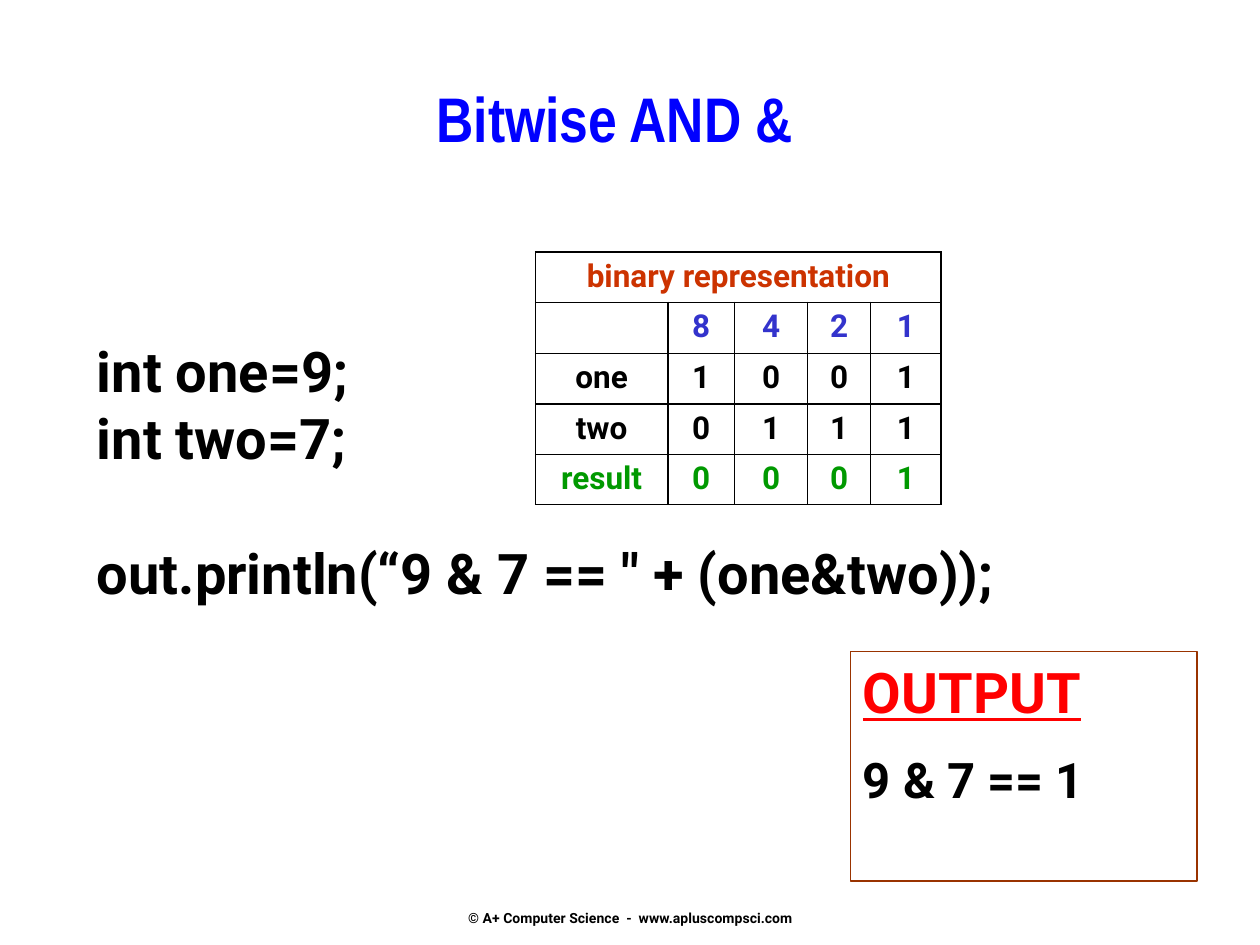
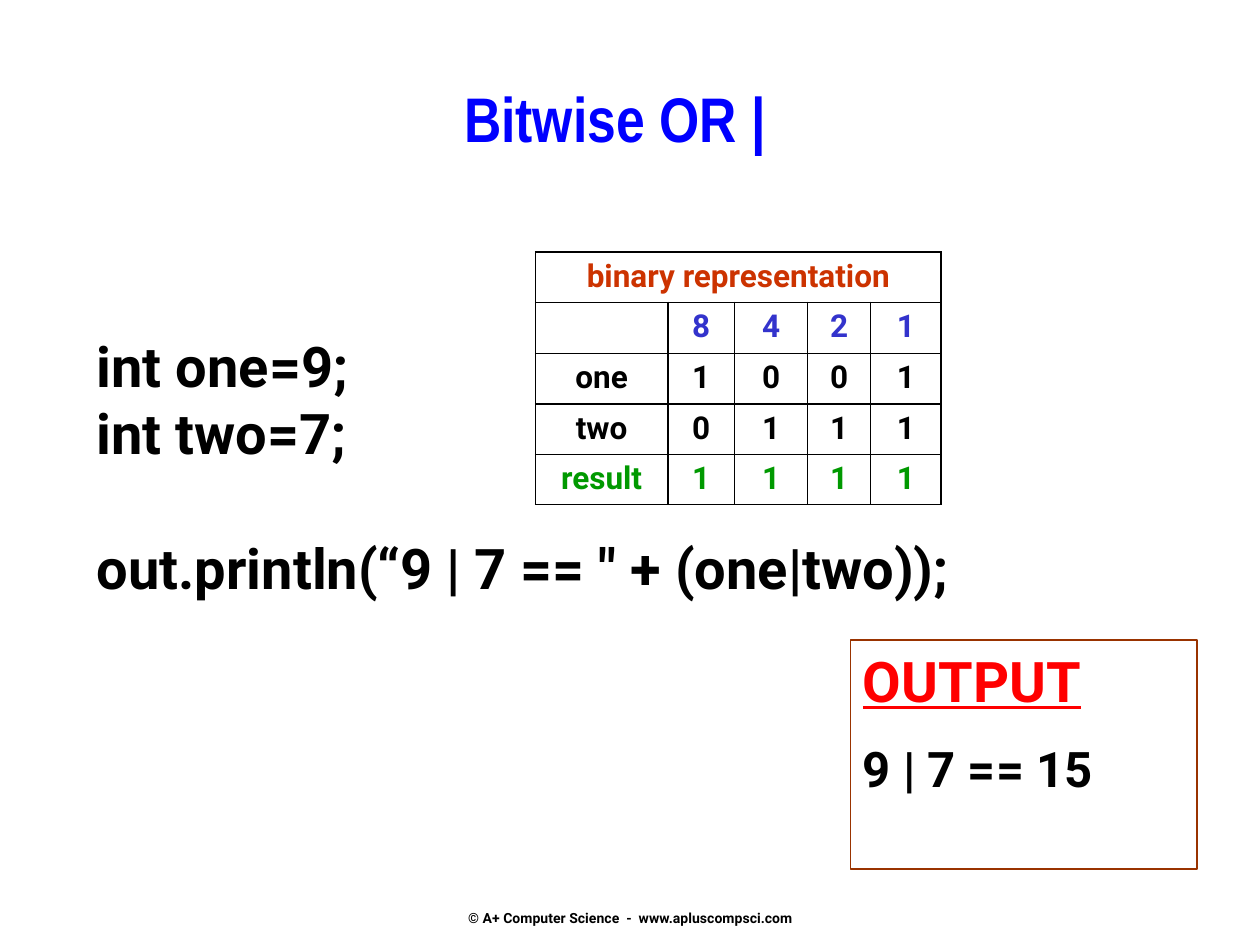
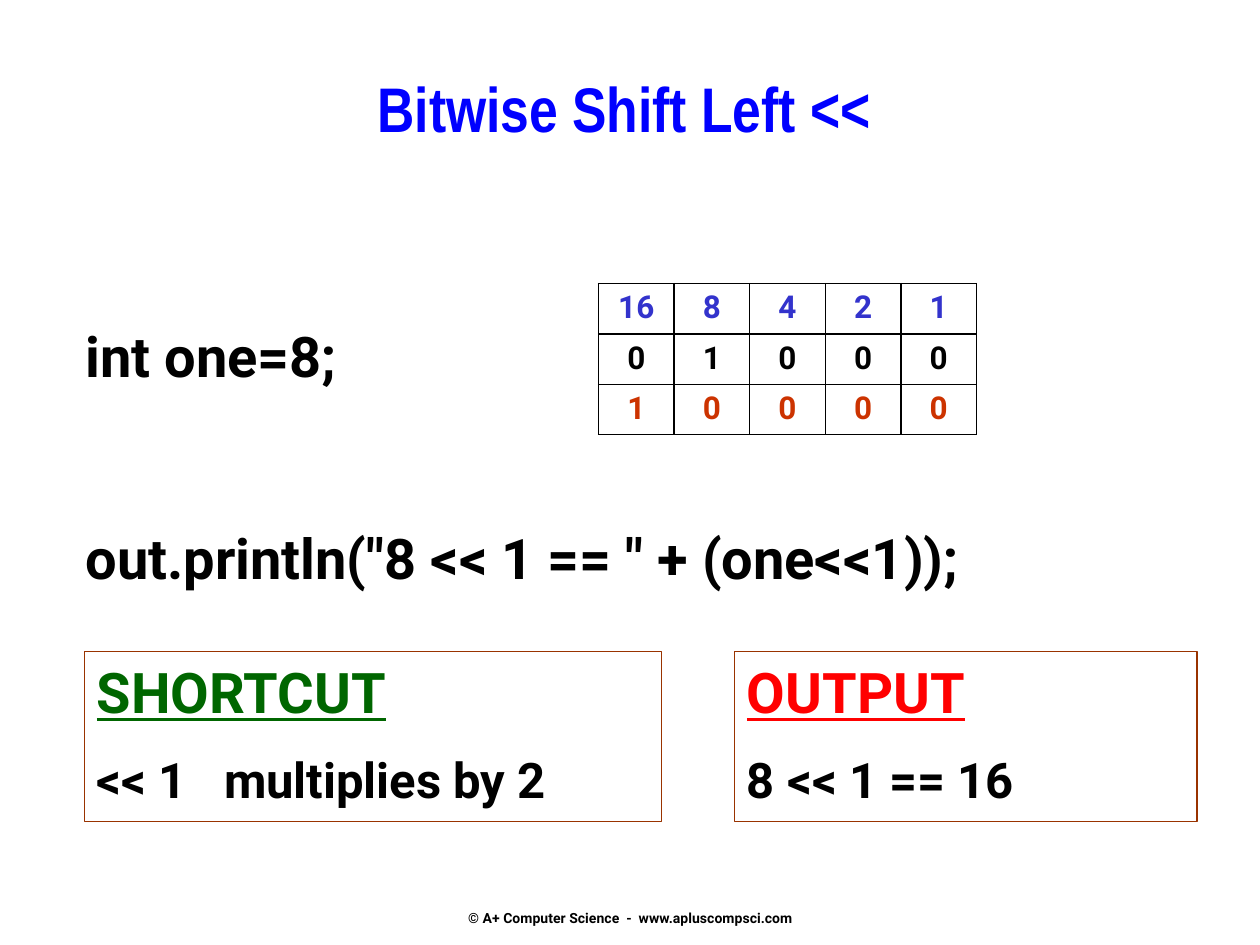
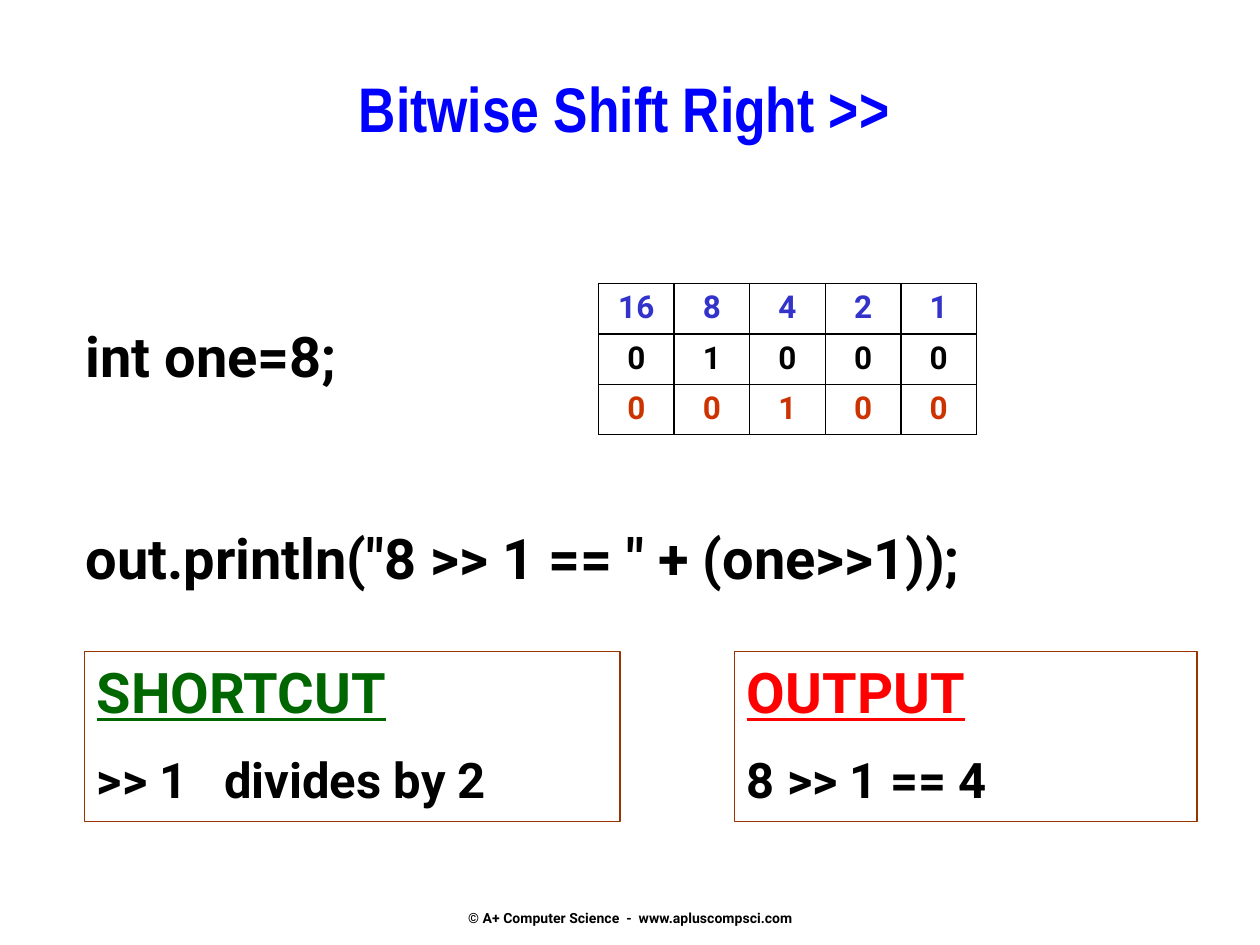
from lxml import etree
from pptx import Presentation
from pptx.dml.color import RGBColor
from pptx.enum import shapes, text
from pptx.oxml import ns
from pptx.util import Inches, Pt

BLACK = RGBColor(0x00, 0x00, 0x00)
TITLE_BLUE = RGBColor(0x00, 0x00, 0xFF)
BIT_BLUE = RGBColor(0x33, 0x33, 0xCC)
RUST = RGBColor(0xCC, 0x33, 0x00)
BROWN = RGBColor(0x99, 0x33, 0x00)
RED = RGBColor(0xFF, 0x00, 0x00)
DARK_GREEN = RGBColor(0x00, 0x66, 0x00)
RESULT_GREEN = RGBColor(0x00, 0x99, 0x00)

BODY_FONT = "Roboto"
TITLE_FONT = "Arial Narrow"
BORDERS = ("a:lnL", "a:lnR", "a:lnT", "a:lnB")
ROW_HEIGHT = 0.4
CODE_LINE_POINTS = 38.5
FOOTER = "© A+ Computer Science  -  www.apluscompsci.com"


def assign(target, values):
    for name, value in values.items():
        setattr(target, name, value)


class Deck:
    """Holds the shared style and the current slide."""

    def __init__(self):
        self.presentation = Presentation()
        assign(self.presentation, {"slide_width": Inches(10), "slide_height": Inches(7.5)})
        self.slide = None

    def start_slide(self, title, title_area):
        self.slide = self.presentation.slides.add_slide(self.presentation.slide_layouts[6])
        footer = self.add_frame((3.42, 6.83, 3.17, 0.5), margin_top=Inches(0.39), margin_bottom=0)
        self.add_text(footer.paragraphs[0], FOOTER, 8, align=text.PP_ALIGN.CENTER)
        heading = self.add_frame(title_area)
        self.add_text(heading.paragraphs[0], title, 36, TITLE_BLUE, TITLE_FONT,
                      text.PP_ALIGN.CENTER)

    def add_frame(self, area, **values):
        frame = self.slide.shapes.add_textbox(*map(Inches, area)).text_frame
        assign(frame, {"word_wrap": True, "auto_size": text.MSO_AUTO_SIZE.NONE, **values})
        return frame

    def add_text(self, paragraph, words, size, color=BLACK, font=BODY_FONT,
                 align=text.PP_ALIGN.LEFT, underline=False):
        paragraph.alignment = align
        run = paragraph.add_run()
        run.text = words
        assign(run.font, {"name": font, "size": Pt(size), "bold": True, "underline": underline})
        run.font.color.rgb = color

    def add_code(self, area, declarations, statement, blank_lines=1, margin_top=0.05):
        frame = self.add_frame(area, margin_top=Inches(margin_top))
        for index, line in enumerate([*declarations, statement]):
            paragraph = frame.paragraphs[0] if index == 0 else frame.add_paragraph()
            self.add_text(paragraph, line, 32)
        paragraph.space_before = Pt(CODE_LINE_POINTS * blank_lines)

    def add_panel(self, area, heading, color, message):
        shape = self.slide.shapes.add_shape(shapes.MSO_SHAPE.RECTANGLE, *map(Inches, area))
        shape.shadow.inherit = False
        shape.fill.background()
        shape.line.color.rgb = BROWN
        shape.line.width = Pt(1)
        frame = shape.text_frame
        assign(frame, {"word_wrap": True, "vertical_anchor": text.MSO_ANCHOR.TOP})
        self.add_text(frame.paragraphs[0], heading, 32, color, underline=True)
        paragraph = frame.add_paragraph()
        paragraph.space_before = Pt(14)
        if "\t" in message:
            stops = etree.SubElement(paragraph._p.get_or_add_pPr(), ns.qn("a:tabLst"))
            etree.SubElement(stops, ns.qn("a:tab"), pos=str(Inches(1.01)), algn="l")
        self.add_text(paragraph, message, 28)

    def add_output(self, area, message):
        self.add_panel(area, "OUTPUT", RED, message)

    def add_bit_table(self, left, top, widths, rows):
        """Draws (colour, texts) rows; a row with one text spans the table."""
        size = (sum(widths), ROW_HEIGHT * len(rows))
        frame = self.slide.shapes.add_table(len(rows), len(widths), *map(Inches, (left, top, *size)))
        table = frame.table
        assign(table, {"first_row": False, "horz_banding": False})
        for column, width in zip(table.columns, widths):
            column.width = Inches(width)
        for index, (color, words) in enumerate(rows):
            table.rows[index].height = Inches(ROW_HEIGHT)
            for cell in table.rows[index].cells:
                self.outline_cell(cell)
            if len(words) == 1:
                table.cell(index, 0).merge(table.cell(index, len(widths) - 1))
            for position, word in enumerate(words):
                if word:
                    paragraph = table.cell(index, position).text_frame.paragraphs[0]
                    self.add_text(paragraph, word, 18, color, align=text.PP_ALIGN.CENTER)

    def outline_cell(self, cell):
        properties = cell._tc.get_or_add_tcPr()
        for border in BORDERS:
            line = etree.SubElement(properties, ns.qn(border), w=str(Pt(1)))
            fill = etree.SubElement(line, ns.qn("a:solidFill"))
            etree.SubElement(fill, ns.qn("a:srgbClr"), val=str(BLACK))
        cell.fill.background()

    def add_logic_slide(self, name, sign, result, answer, code_area, code_margin, output_top):
        self.start_slide(f"Bitwise {name} {sign}", (0.92, 0.58, 7.92, 1))
        self.add_code(code_area, ["int one=9;", "int two=7;"],
                      f'out.println(“9 {sign} 7 == " + (one{sign}two));', margin_top=code_margin)
        self.add_output((6.75, output_top, 2.75, 1.82), f"9 {sign} 7 == {answer}")
        self.add_bit_table(4.25, 2, (1.05, 0.53, 0.58, 0.5, 0.56), [
            (RUST, ["binary representation"]),
            (BIT_BLUE, ["", *"8421"]),
            (BLACK, ["one", *"1001"]),
            (BLACK, ["two", *"0111"]),
            (RESULT_GREEN, ["result", *result]),
        ])

    def add_shift_slide(self, name, sign, result, answer, effect, shortcut_width):
        self.start_slide(f"Bitwise Shift {name} {sign}", (0.83, 0.5, 8.25, 1))
        self.add_code((0.58, 2.5, 9.17, 2.23), ["int one=8;"],
                      f'out.println("8 {sign} 1 == " + (one{sign}1));', blank_lines=2)
        self.add_output((5.83, 5.17, 3.67, 1.35), f"8 {sign} 1 == {answer}")
        self.add_panel((0.67, 5.17, shortcut_width, 1.35), "SHORTCUT", DARK_GREEN,
                       f"{sign} 1\t{effect} by 2")
        self.add_bit_table(4.75, 2.25, [0.6] * 5, [
            (BIT_BLUE, ["16", *"8421"]),
            (BLACK, "01000"),
            (RUST, result),
        ])


def main():
    deck = Deck()
    deck.add_logic_slide("AND", "&", "0001", 1, (0.67, 2.08, 8.88, 3.33), 0.59, 5.17)
    deck.add_logic_slide("OR", "|", "1111", 15, (0.67, 2.58, 8.74, 2.79), 0.05, 5.08)
    deck.add_shift_slide("Left", "<<", "10000", 16, "multiplies", 4.58)
    deck.add_shift_slide("Right", ">>", "00100", 4, "divides", 4.25)
    deck.presentation.save("out.pptx")


if __name__ == "__main__":
    main()
